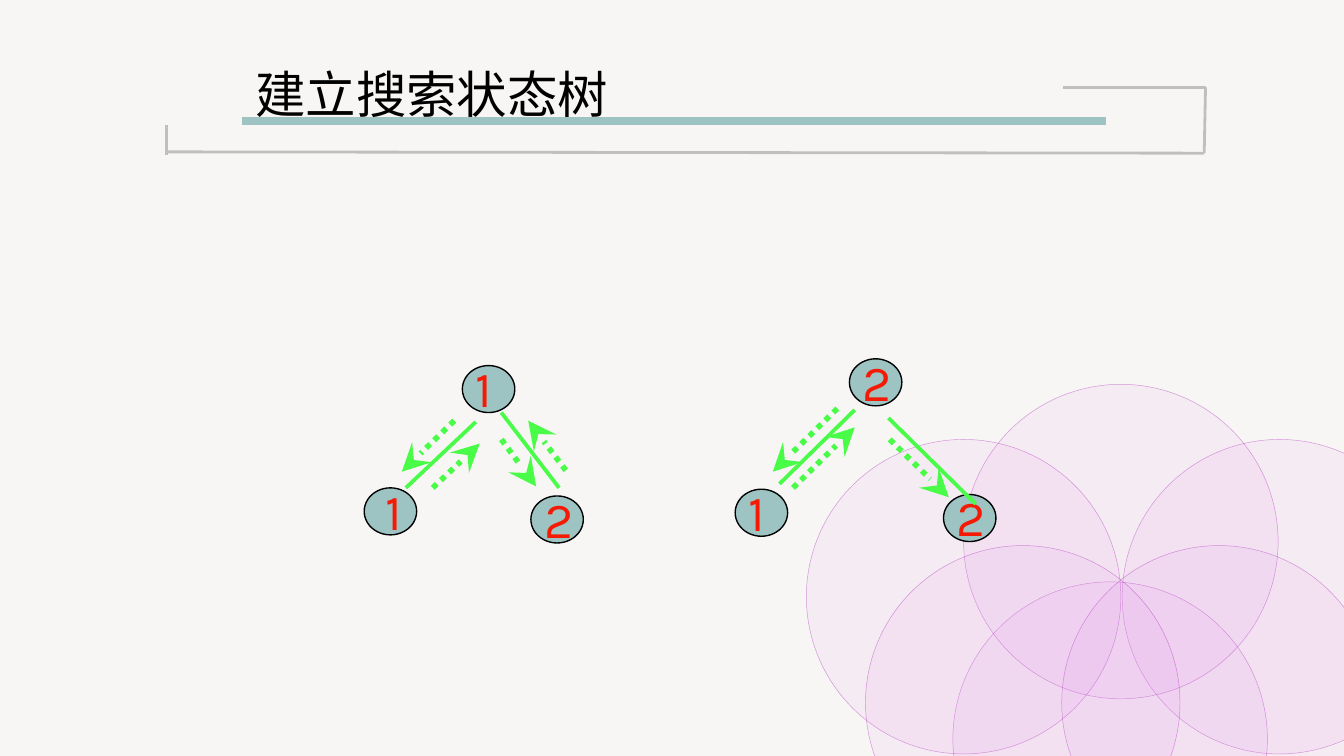
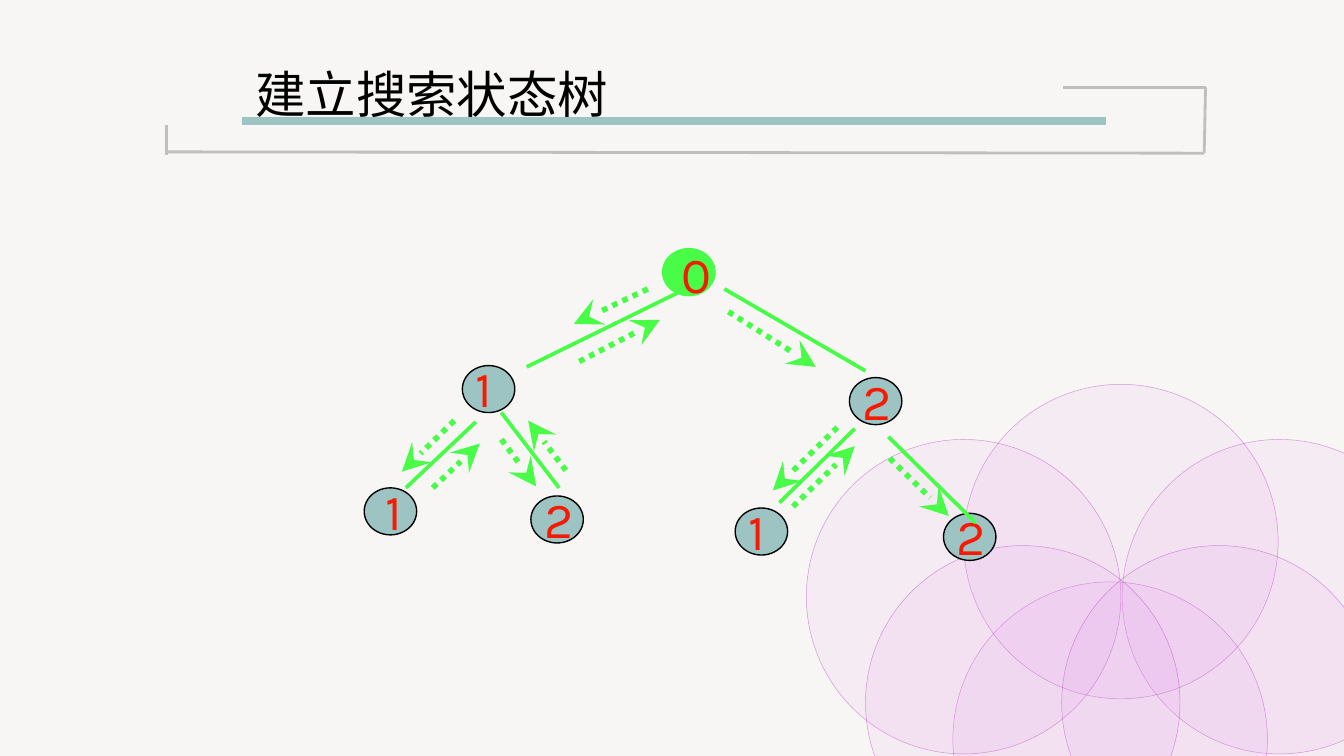
from dataclasses import dataclass

from lxml import etree
from pptx import Presentation, util as u
from pptx.dml.color import RGBColor
from pptx.enum import dml, shapes, text
from pptx.oxml import ns


@dataclass(frozen=True)
class Theme:
    background: str = "F7F6F4"
    petal: str = "E387ED"
    petal_outline: str = "A71CB6"
    frame: str = "BFBFBF"
    accent: str = "9DC4C3"
    ink: str = "000000"
    digit: str = "F51A03"
    green: str = "48FC48"
    title_font: str = "Calibri"
    digit_font: str = "Karla"
    text_size: float = 27


THEME = Theme()
SLIDE_WIDTH = u.Inches(10)
SLIDE_HEIGHT = SLIDE_WIDTH * 9 // 16
TITLE = "建立搜索状态树"
NODE_SIZE = (0.39, 0.35)
PETAL_SIZE = 2.34
PETALS = [(8.35, 3.27), (7.09, 4.33), (7.17, 2.86),
          (6, 3.27), (7.9, 4.06), (6.44, 4.06)]
FRAME_LINES = [(1.24, 0.93, 1.24, 1.15), (1.24, 1.13, 8.96, 1.14),
               (8.96, 1.14, 8.97, 0.65), (8.97, 0.65, 7.91, 0.65)]
ROOT_DROP = 0.14  # the right subtree sits lower once the root is shown


@dataclass(frozen=True)
class Node:
    digit: str
    left: float
    top: float
    digit_offset: tuple = (0.1, -0.06)
    fill: str = THEME.accent
    outline: str = THEME.ink


@dataclass(frozen=True)
class Tree:
    """Nodes, solid edges and dotted visiting arrows, as (x1, y1, x2, y2)."""
    nodes: tuple
    edges: tuple
    visits: tuple


LEFT_TREE = Tree(
    nodes=(Node("1", 3.44, 2.72), Node("2", 3.95, 3.69),
           Node("1", 2.71, 3.63, (0.16, -0.06))),
    edges=((3.54, 3.14, 3.02, 3.63), (3.73, 3.07, 4.16, 3.63)),
    visits=((3.22, 3.63, 3.57, 3.3), (4.21, 3.5, 3.93, 3.13),
            (3.38, 3.13, 2.99, 3.51), (3.73, 3.27, 3.99, 3.62)),
)
RIGHT_TREE = Tree(
    nodes=(Node("2", 6.32, 2.67), Node("2", 7.02, 3.68), Node("1", 5.47, 3.64)),
    edges=((6.61, 3.11, 7.26, 3.75), (6.36, 3.05, 5.8, 3.6)),
    visits=((5.9, 3.63, 6.36, 3.18), (6.23, 3.04, 5.75, 3.51),
            (6.62, 3.27, 7.06, 3.7)),
)
ROOT = Tree(
    nodes=(Node("0", 4.93, 1.85, (0.14, -0.04), THEME.green, THEME.green),),
    edges=((5.04, 2.18, 3.92, 2.73), (5.39, 2.15, 6.44, 2.76)),
    visits=((4.31, 2.69, 4.91, 2.38), (4.82, 2.15, 4.27, 2.41),
            (5.42, 2.32, 6.07, 2.73)),
)


def inches(*lengths):
    return [u.Inches(length) for length in lengths]


def apply_format(target, values):
    for name, value in values.items():
        setattr(target, name, value)


def set_alpha(fill, percent):
    """Make a solid a:solidFill element partly transparent."""
    alpha = etree.SubElement(fill[0], ns.qn("a:alpha"))
    alpha.set("val", str(percent * 1000))


def add_ellipse(container, box, fill, outline, width):
    shape = container.add_shape(shapes.MSO_SHAPE.OVAL, *inches(*box))
    shape.shadow.inherit = False
    shape.fill.solid()
    shape.fill.fore_color.rgb = RGBColor.from_string(fill)
    shape.line.color.rgb = RGBColor.from_string(outline)
    shape.line.width = u.Pt(width)
    return shape


def add_line(container, ends, color, width, dotted_arrow=False):
    connector = container.add_connector(shapes.MSO_CONNECTOR.STRAIGHT, *inches(*ends))
    connector.line.color.rgb = RGBColor.from_string(color)
    connector.line.width = u.Pt(width)
    if dotted_arrow:
        connector.line.dash_style = dml.MSO_LINE.ROUND_DOT
        outline = connector.element.spPr.find(ns.qn("a:ln"))
        head = etree.SubElement(outline, ns.qn("a:tailEnd"))
        for name, value in {"type": "stealth", "w": "lg", "len": "lg"}.items():
            head.set(name, value)
    etree.SubElement(connector.element.spPr, ns.qn("a:effectLst"))


def write_text(frame, content, font_name, color, frame_format):
    apply_format(frame, {"word_wrap": True, **frame_format})
    paragraph = frame.paragraphs[0]
    paragraph.alignment = text.PP_ALIGN.LEFT
    run = paragraph.add_run()
    run.text = content
    apply_format(run.font, {"name": font_name, "size": u.Pt(THEME.text_size)})
    run.font.color.rgb = RGBColor.from_string(color)


def add_node(container, node, drop):
    top = node.top + drop
    add_ellipse(container, (node.left, top, *NODE_SIZE), node.fill, node.outline, 0.75)
    across, down = node.digit_offset
    label = container.add_textbox(
        *inches(node.left + across, top + down, 0.15, 0.45))
    margins = {f"margin_{side}": 0 for side in ("left", "top", "right", "bottom")}
    write_text(label.text_frame, node.digit, THEME.digit_font, THEME.digit, {
        **margins,
        "vertical_anchor": text.MSO_ANCHOR.MIDDLE,
        "auto_size": text.MSO_AUTO_SIZE.SHAPE_TO_FIT_TEXT,
    })


def add_tree(container, tree, drop=0):
    for node in tree.nodes:
        add_node(container, node, drop)
    for lines, width, dotted in ((tree.edges, 2, False), (tree.visits, 3, True)):
        for x1, y1, x2, y2 in lines:
            add_line(container, (x1, y1 + drop, x2, y2 + drop),
                     THEME.green, width, dotted)


def add_flower(slide):
    flower = slide.shapes.add_group_shape()
    for left, top in PETALS:
        petal = add_ellipse(flower.shapes, (left, top, PETAL_SIZE, PETAL_SIZE),
                            THEME.petal, THEME.petal_outline, 0.25)
        properties = petal.element.spPr
        set_alpha(properties.find(ns.qn("a:solidFill")), 9)
        set_alpha(properties.find(ns.qn("a:ln")).find(ns.qn("a:solidFill")), 43)


def add_title_frame(slide):
    for ends in FRAME_LINES:
        add_line(slide.shapes, ends, THEME.frame, 1.5)
    add_line(slide.shapes, (1.8, 0.9, 8.23, 0.9), THEME.accent, 4)


def add_title(slide):
    """Fill the title and bring it in front of the decoration."""
    title = slide.shapes.title
    box = inches(1.8, 0.42, 6.38, 0.55)
    apply_format(title, dict(zip(("left", "top", "width", "height"), box)))
    write_text(title.text_frame, TITLE, THEME.title_font, THEME.ink, {
        "vertical_anchor": text.MSO_ANCHOR.TOP,
        "auto_size": text.MSO_AUTO_SIZE.SHAPE_TO_FIT_TEXT,
    })
    title.element.getparent().append(title.element)


def add_base_slide(presentation):
    slide = presentation.slides.add_slide(presentation.slide_layouts[5])
    add_flower(slide)
    add_title_frame(slide)
    add_title(slide)
    return slide


def main():
    presentation = Presentation()
    apply_format(presentation, {"slide_width": SLIDE_WIDTH,
                                "slide_height": SLIDE_HEIGHT})
    background = presentation.slide_master.background.fill
    background.solid()
    background.fore_color.rgb = RGBColor.from_string(THEME.background)

    subtrees = add_base_slide(presentation)
    add_tree(subtrees.shapes, RIGHT_TREE)
    add_tree(subtrees.shapes, LEFT_TREE)

    full_tree = add_base_slide(presentation).shapes.add_group_shape()
    add_tree(full_tree.shapes, RIGHT_TREE, ROOT_DROP)
    add_tree(full_tree.shapes, LEFT_TREE)
    add_tree(full_tree.shapes, ROOT)

    presentation.save("out.pptx")


if __name__ == "__main__":
    main()
